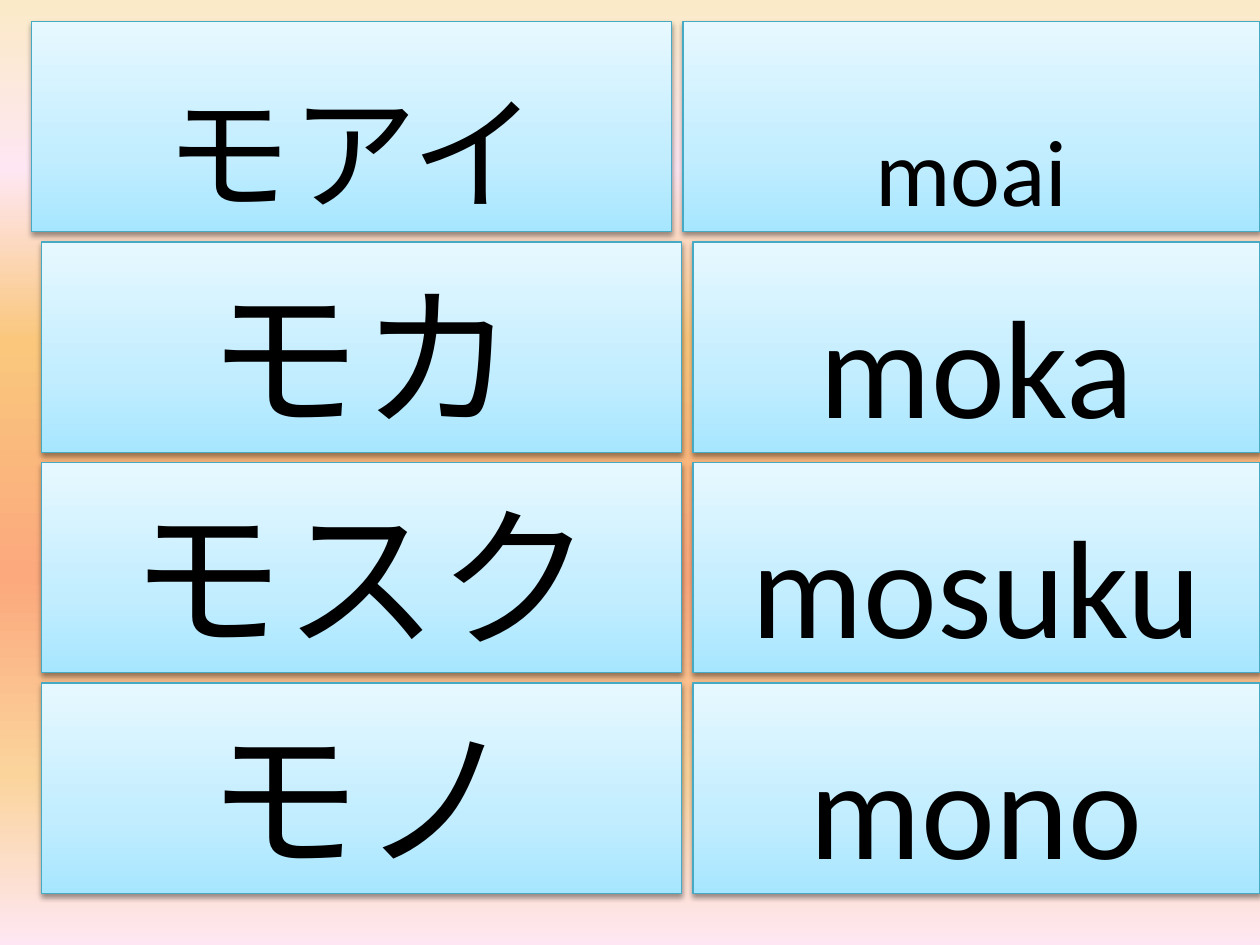
"""Build a slide of katakana word cards paired with their romaji readings."""
import lxml.etree
import pptx
import pptx.dml.color
import pptx.enum.shapes
import pptx.enum.text
import pptx.oxml.ns
import pptx.util
from pptx.util import Inches

qn = pptx.oxml.ns.qn


def add_color(parent, color):
    return lxml.etree.SubElement(parent, qn("a:srgbClr"), val=color)


def set_gradient(fill, element, stops, angle):
    fill.gradient()
    gradient = element.find(".//" + qn("a:gradFill"))
    stop_list = gradient.find(qn("a:gsLst"))
    stop_list.clear()
    for position, color in stops:
        stop = lxml.etree.SubElement(stop_list, qn("a:gs"), pos=str(position * 1000))
        add_color(stop, color)
    gradient.find(qn("a:lin")).set("ang", str(angle * 60000))


background_stops = [(0, "FBEAC7"), (18, "FEE7F2"), (36, "FAC77D"),
                    (61, "FBA97D"), (82, "FBD49C"), (100, "FEE7F2")]
card_stops = [(0, "A7E6FF"), (35, "C1EDFF"), (100, "E7F8FF")]
rows = [
    (0.25, 5.42, "モアイ", 72, "moai", 54),
    (0.33, 5.5, "モカ", 88, "moka", 80),
    (0.33, 5.5, "モスク", 88, "mosuku", 80),
    (0.33, 5.5, "モノ", 88, "mono", 80),
]
slide_width, katakana_width, card_height = 10, 5.08, 1.67
first_top, row_pitch = 0.17, 1.75

presentation = pptx.Presentation()
presentation.slide_width = Inches(slide_width)
presentation.slide_height = Inches(7.5)
slide = presentation.slides.add_slide(presentation.slide_layouts[6])
set_gradient(slide.background.fill, slide.element, background_stops, 90)

for index, (katakana_left, romaji_left, katakana, katakana_size, romaji, romaji_size) in enumerate(rows):
    top = first_top + index * row_pitch
    cards = [(katakana_left, katakana_width, katakana, katakana_size),
             (romaji_left, slide_width - romaji_left, romaji, romaji_size)]
    for left, width, word, size in cards:
        shape = slide.shapes.add_shape(
            pptx.enum.shapes.MSO_SHAPE.RECTANGLE,
            Inches(left), Inches(top), Inches(width), Inches(card_height))
        set_gradient(shape.fill, shape.element, card_stops, 270)
        shape.line.color.rgb = pptx.dml.color.RGBColor.from_string("46AAC5")
        shape.line.width = pptx.util.Pt(0.75)

        shape.shadow.inherit = False
        shadow = lxml.etree.SubElement(
            shape.element.find(".//" + qn("a:effectLst")), qn("a:outerShdw"),
            blurRad=str(pptx.util.Pt(3.1)), dist=str(pptx.util.Pt(1.6)),
            dir="5400000", rotWithShape="0")
        lxml.etree.SubElement(add_color(shadow, "000000"), qn("a:alpha"), val="38000")

        text_frame = shape.text_frame
        text_frame.text = word
        text_frame.word_wrap = True
        text_frame.vertical_anchor = pptx.enum.text.MSO_ANCHOR.BOTTOM
        paragraph = text_frame.paragraphs[0]
        paragraph.alignment = pptx.enum.text.PP_ALIGN.CENTER
        font = paragraph.runs[0].font
        font.name = "Calibri"
        font.size = pptx.util.Pt(size)
        font.color.rgb = pptx.dml.color.RGBColor.from_string("000000")

presentation.save("out.pptx")
